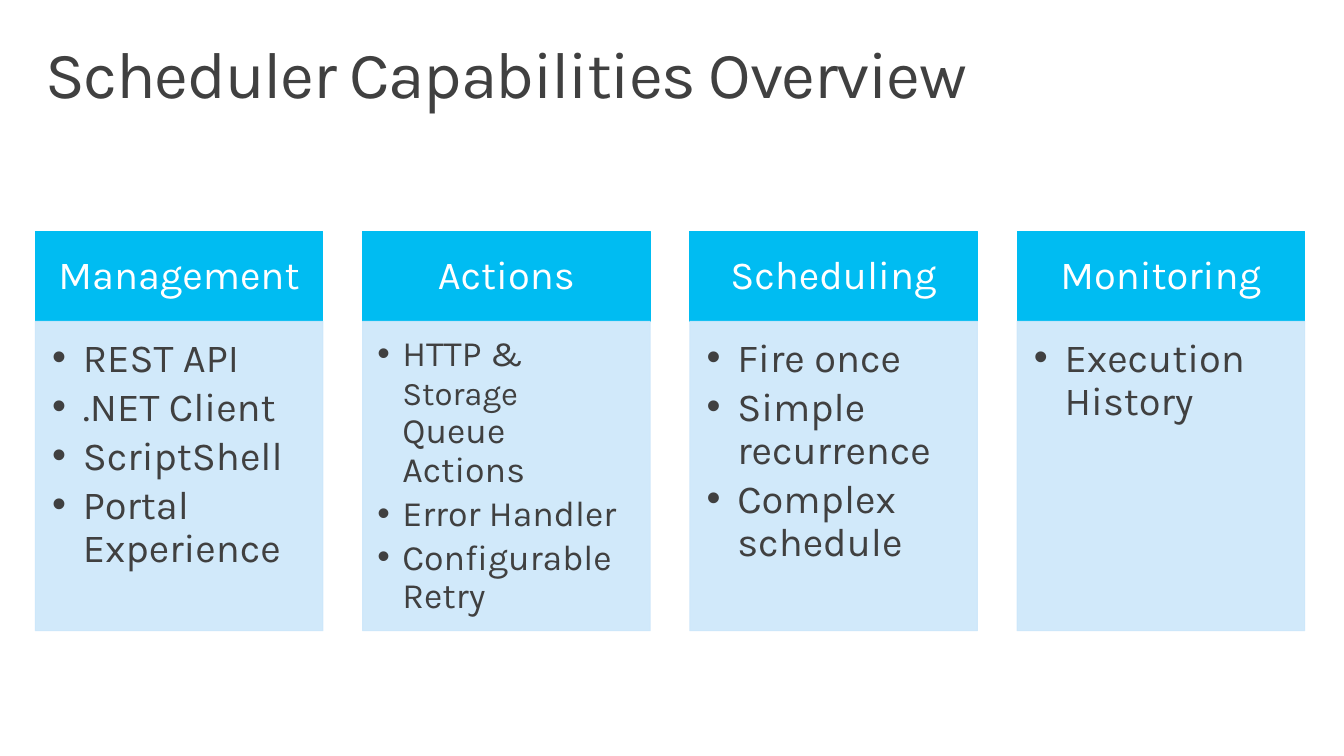
from lxml import etree
from pptx import Presentation
from pptx.dml.color import RGBColor
from pptx.enum.shapes import MSO_SHAPE
from pptx.enum.text import MSO_ANCHOR, MSO_AUTO_SIZE, PP_ALIGN
from pptx.oxml.ns import qn
from pptx.util import Cm, Pt

TITLE = "Scheduler Capabilities Overview"
# Each bullet is a list of (text, size) spans.
REGULAR, COMPACT, SMALL = 29, 26, 24
CAPABILITIES = [
    ("Management", REGULAR, [
        [("REST API", REGULAR)],
        [(".NET Client", REGULAR)],
        [("ScriptShell", REGULAR)],
        [("Portal Experience", REGULAR)],
    ]),
    ("Actions", COMPACT, [
        [("HTTP & ", COMPACT), ("Storage", SMALL), (" Queue Actions", COMPACT)],
        [("Error Handler", COMPACT)],
        [("Configurable Retry", COMPACT)],
    ]),
    ("Scheduling", REGULAR, [
        [("Fire once", REGULAR)],
        [("Simple recurrence", REGULAR)],
        [("Complex schedule", REGULAR)],
    ]),
    ("Monitoring", REGULAR, [
        [("Execution History", REGULAR)],
    ]),
]

FONT, BULLET_FONT = "Karla", "Arial"
DARK = RGBColor(0x40, 0x40, 0x40)
WHITE = RGBColor(0xFF, 0xFF, 0xFF)
CYAN = RGBColor(0x00, 0xBC, 0xF2)
PALE_BLUE = RGBColor(0xCC, 0xE7, 0xFA)

RECTANGLE = MSO_SHAPE.RECTANGLE
TOP, MIDDLE = MSO_ANCHOR.TOP, MSO_ANCHOR.MIDDLE
LEFT, CENTER = PP_ALIGN.LEFT, PP_ALIGN.CENTER
NO_FIT = MSO_AUTO_SIZE.NONE

COLUMN_LEFT, COLUMN_PITCH, COLUMN_WIDTH = 0.91, 8.41, 7.39
HEADER_TOP, HEADER_HEIGHT, LIST_HEIGHT = 5.95, 2.31, 7.95
HEADER_INSETS = (0.58, 0.33, 0.58, 0.33)
# Insets (left, top, right, bottom) and hanging indent of a list, by text size
LIST_LAYOUT = {
    REGULAR: ((0.43, 0.43, 0.58, 0.64), 0.79),
    COMPACT: ((0.38, 0.38, 0.6, 0.58), 0.64),
}


def set_all(target, values):
    for name, value in values.items():
        setattr(target, name, value)


def format_frame(frame, insets, anchor):
    left, top, right, bottom = map(Cm, insets)
    set_all(frame, {
        "word_wrap": True, "auto_size": NO_FIT, "vertical_anchor": anchor,
        "margin_left": left, "margin_top": top,
        "margin_right": right, "margin_bottom": bottom,
    })


def write_spans(para, spans, color, align, space_after=0):
    set_all(para, {"alignment": align, "line_spacing": 0.9,
                   "space_before": Pt(0), "space_after": Pt(space_after)})
    for text, size in spans:
        span = para.add_run()
        span.text = text
        set_all(span.font, {"name": FONT, "size": Pt(size)})
        span.font.color.rgb = color


def add_bullet(para, indent):
    properties = para._p.get_or_add_pPr()
    properties.set("marL", str(Cm(indent)))
    properties.set("indent", str(-Cm(indent)))
    etree.SubElement(properties, qn("a:buFont")).set("typeface", BULLET_FONT)
    etree.SubElement(properties, qn("a:buChar")).set("char", "•")


def add_panel(slide, left, top, height, color):
    panel = slide.shapes.add_shape(
        RECTANGLE, Cm(left), Cm(top), Cm(COLUMN_WIDTH), Cm(height))
    panel.shadow.inherit = False
    panel.fill.solid()
    panel.fill.fore_color.rgb = color
    panel.line.color.rgb = color
    panel.line.width = Pt(0.85)
    return panel


def make_translucent(panel, percent):
    """Apply the opacity to both fill and outline."""
    for color in panel._element.spPr.iter(qn("a:srgbClr")):
        etree.SubElement(color, qn("a:alpha")).set("val", str(percent * 1000))


def add_title(slide):
    box = slide.shapes.title
    set_all(box, {"left": Cm(0.76), "top": Cm(0.81),
                  "width": Cm(33.02), "height": Cm(2.54)})
    format_frame(box.text_frame, (0.41, 0.25, 0.41, 0.25), TOP)
    para = box.text_frame.paragraphs[0]
    write_spans(para, [(TITLE, 48)], DARK, LEFT)
    para.runs[0]._r.get_or_add_rPr().set("spc", "-100")


def add_capability(slide, left, heading, size, bullets):
    header = add_panel(slide, left, HEADER_TOP, HEADER_HEIGHT, CYAN)
    format_frame(header.text_frame, HEADER_INSETS, MIDDLE)
    write_spans(header.text_frame.paragraphs[0], [(heading, REGULAR)], WHITE, CENTER)

    panel = add_panel(slide, left, HEADER_TOP + HEADER_HEIGHT, LIST_HEIGHT, PALE_BLUE)
    make_translucent(panel, 90)
    insets, indent = LIST_LAYOUT[size]
    frame = panel.text_frame
    format_frame(frame, insets, TOP)
    for index, spans in enumerate(bullets):
        para = frame.add_paragraph() if index else frame.paragraphs[0]
        write_spans(para, spans, DARK, LEFT, space_after=0.15 * size)
        add_bullet(para, indent)


def main():
    deck = Presentation()
    deck.slide_width, deck.slide_height = Cm(34.54), Cm(19.43)
    slide = deck.slides.add_slide(deck.slide_layouts.get_by_name("Title Only"))
    add_title(slide)
    for column, capability in enumerate(CAPABILITIES):
        add_capability(slide, COLUMN_LEFT + column * COLUMN_PITCH, *capability)
    deck.save("out.pptx")


if __name__ == "__main__":
    main()
